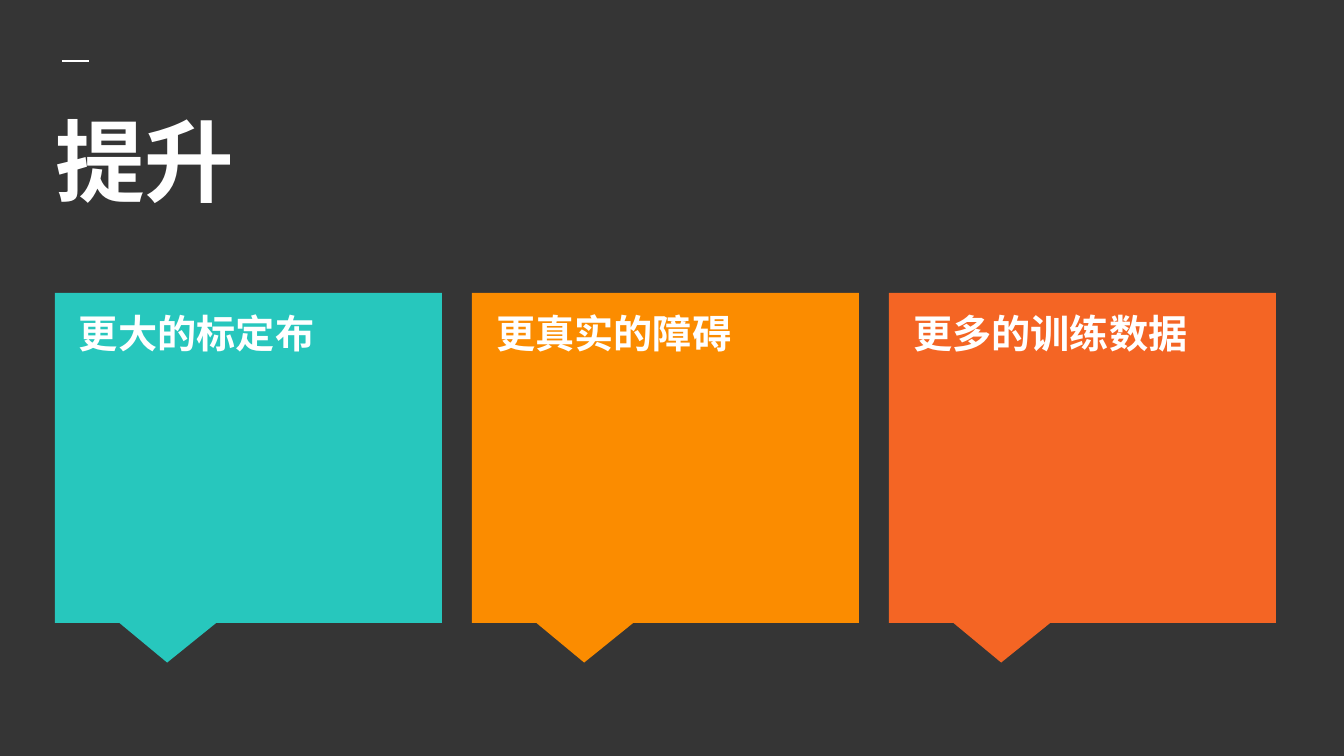
from lxml.etree import SubElement
from pptx import Presentation
from pptx.dml.color import RGBColor
from pptx.enum.shapes import MSO_CONNECTOR, MSO_SHAPE
from pptx.enum.text import MSO_ANCHOR
from pptx.oxml.ns import qn
from pptx.util import Pt

WIDE, HIGH = 1344, 756
SCALE = 9144000 / WIDE
FACE = "Manrope"
DARK = RGBColor(0x35, 0x35, 0x35)
WHITE = RGBColor(0xFF, 0xFF, 0xFF)
TEAL = RGBColor(0x27, 0xC7, 0xBD)
AMBER = RGBColor(0xFB, 0x8C, 0x00)
CORAL = RGBColor(0xF4, 0x65, 0x24)

LEFT, TOP, STEP = 55, 293, 417
CARDS = [("更大的标定布", TEAL), ("更真实的障碍", AMBER), ("更多的训练数据", CORAL)]


def emu(*sizes):
    """Turn px lengths into EMU."""
    return [round(size * SCALE) for size in sizes]


class Board:
    def __init__(self, slide):
        self.slide = slide
        fill = slide.background.fill
        fill.solid()
        fill.fore_color.rgb = DARK

    def rule(self, x, y, end):
        line = self.slide.shapes.add_connector(
            MSO_CONNECTOR.STRAIGHT, *emu(x, y, end, y))
        line.line.color.rgb = WHITE
        line.line.width = Pt(1.5)
        SubElement(line._element.spPr, qn("a:effectLst"))

    def text(self, words, x, y, wide, high, size):
        frame = self.slide.shapes.add_textbox(*emu(x, y, wide, high)).text_frame
        frame.word_wrap = True
        frame.vertical_anchor = MSO_ANCHOR.TOP
        frame.margin_left, frame.margin_right = emu(13, 13)
        frame.margin_top, frame.margin_bottom = emu(13, 13)
        para = frame.paragraphs[0]
        para.text = words
        para.line_spacing = 0.9
        font = para.font
        font.size = Pt(size)
        font.bold = True
        font.color.rgb = WHITE
        font.name = FACE
        # East Asian glyphs take their own typeface element
        style = para._p.pPr.find(qn("a:defRPr"))
        SubElement(style, qn("a:ea"), typeface=FACE)

    def callout(self, x, y, wide, high, color):
        shape = self.slide.shapes.add_shape(
            MSO_SHAPE.RECTANGULAR_CALLOUT, *emu(x, y, wide, high))
        shape.adjustments[0] = -0.21
        shape.adjustments[1] = 0.62
        shape.shadow.inherit = False
        shape.fill.solid()
        shape.fill.fore_color.rgb = color
        shape.line.fill.background()


def main():
    deck = Presentation()
    deck.slide_width, deck.slide_height = emu(WIDE, HIGH)
    board = Board(deck.slides.add_slide(deck.slide_layouts[6]))
    board.rule(62, 61, 89)
    board.text("提升", 42, 105, 1267, 150, 48)
    for i, (words, color) in enumerate(CARDS):
        x = LEFT + i * STEP
        board.callout(x, TOP, 387, 330, color)
        board.text(words, x + 11, TOP + 9, 364, 294, 21)
    deck.save("out.pptx")


if __name__ == "__main__":
    main()
